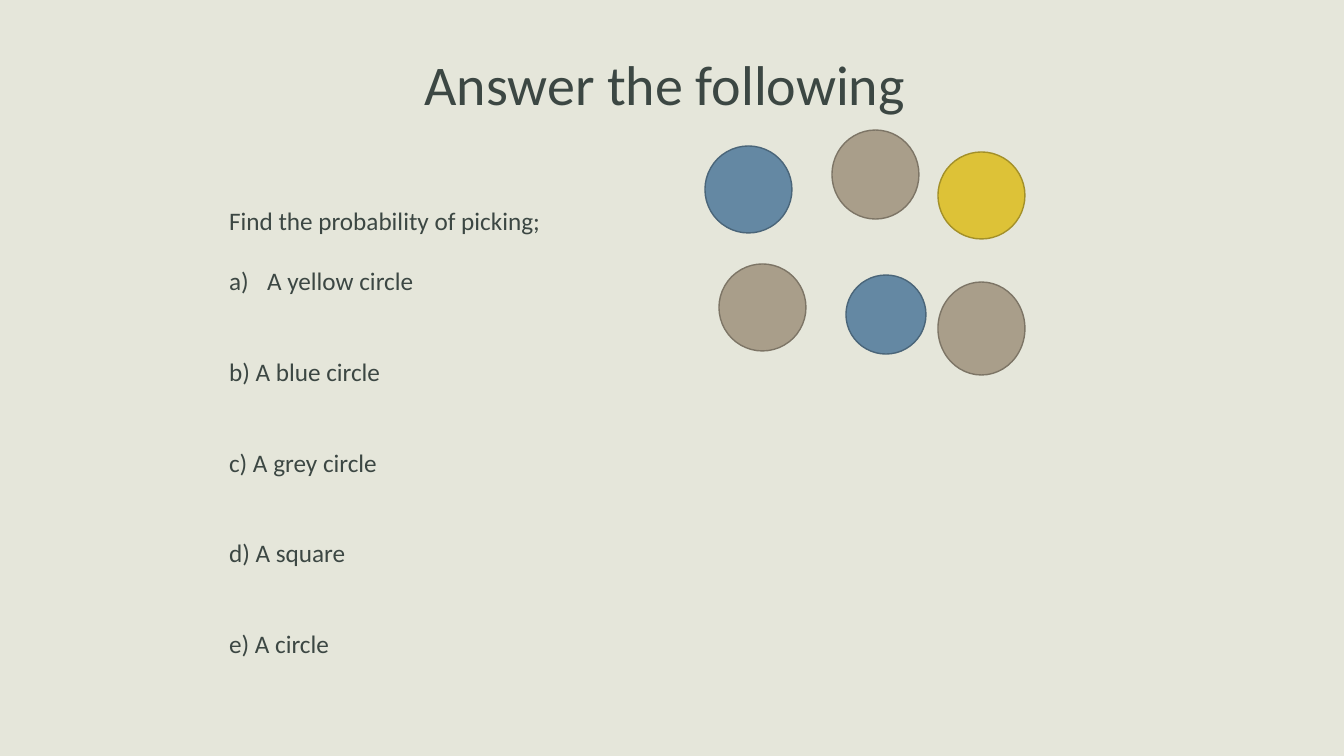
from dataclasses import dataclass
from typing import NamedTuple

from lxml.etree import SubElement
from pptx import Presentation
from pptx.dml.color import RGBColor
from pptx.enum.shapes import MSO_SHAPE
from pptx.enum.text import MSO_ANCHOR, MSO_AUTO_SIZE, PP_ALIGN
from pptx.oxml.ns import qn
from pptx.util import Emu, Pt


class Paint(NamedTuple):
    fill: str
    line: str


class Circle(NamedTuple):
    x: int
    y: int
    w: int
    h: int
    paint: Paint


class Item(NamedTuple):
    text: str
    blank_lines: int  # gap above, in lines
    numbered: bool = False


@dataclass(frozen=True)
class Theme:
    font: str = "Calibri"
    background: str = "E5E6DA"
    ink: str = "3C4743"
    title_size: int = 40
    body_size: int = 18
    line_gap: float = 21.6
    outline: int = 1
    blue: Paint = Paint("6488A3", "4A6579")
    grey: Paint = Paint("A99E8A", "7D7566")
    yellow: Paint = Paint("DDC237", "A39029")


THEME = Theme()
INDENT = 38

CIRCLES = [
    Circle(846, 275, 80, 79, THEME.blue),
    Circle(832, 130, 87, 89, THEME.grey),
    Circle(938, 152, 87, 87, THEME.yellow),
    Circle(938, 282, 87, 93, THEME.grey),
    Circle(719, 264, 87, 87, THEME.grey),
    Circle(705, 146, 87, 87, THEME.blue),
]

ITEMS = [
    Item("Find the probability of picking;", 0),
    Item("A yellow circle", 1, True),
    Item("b) A blue circle", 2),
    Item("c) A grey circle", 2),
    Item("d) A square", 2),
    Item("e) A circle", 2),
]


def px(n: int) -> Emu:
    return Emu(round(n * 914400 / 100.8))


def place(s, x: int, y: int, w: int, h: int) -> None:
    s.left, s.top, s.width, s.height = px(x), px(y), px(w), px(h)


def prepare(tf) -> None:
    tf.word_wrap = True
    tf.auto_size = MSO_AUTO_SIZE.NONE
    tf.vertical_anchor = MSO_ANCHOR.TOP


def format_runs(p, size: int) -> None:
    for r in p.runs:
        r.font.name = THEME.font
        r.font.size = Pt(size)
        r.font.color.rgb = RGBColor.from_string(THEME.ink)


def set_bullet(p, numbered: bool) -> None:
    pPr = p._p.get_or_add_pPr()
    indent = px(INDENT) if numbered else 0
    pPr.set("marL", str(indent))
    pPr.set("indent", str(-indent))
    if numbered:
        SubElement(pPr, qn("a:buFont"), typeface=THEME.font)
        SubElement(pPr, qn("a:buAutoNum"), type="alphaLcParenR")
    else:
        SubElement(pPr, qn("a:buNone"))


def add_item(p, item: Item) -> None:
    p.text = item.text
    set_bullet(p, item.numbered)
    p.alignment = PP_ALIGN.LEFT
    p.space_before = Pt(item.blank_lines * THEME.line_gap)
    format_runs(p, THEME.body_size)


def add_circle(slide, circle: Circle) -> None:
    s = slide.shapes.add_shape(MSO_SHAPE.OVAL, 0, 0, 0, 0)
    place(s, *circle[:4])
    s.shadow.inherit = False
    s.fill.solid()
    s.fill.fore_color.rgb = RGBColor.from_string(circle.paint.fill)
    s.line.color.rgb = RGBColor.from_string(circle.paint.line)
    s.line.width = Pt(THEME.outline)


def main() -> None:
    prs = Presentation()
    prs.slide_width, prs.slide_height = px(1344), px(756)
    slide = prs.slides.add_slide(prs.slide_layouts[1])
    slide.background.fill.solid()
    slide.background.fill.fore_color.rgb = RGBColor.from_string(THEME.background)

    # Title
    title = slide.shapes.title
    place(title, 347, 44, 635, 78)
    prepare(title.text_frame)
    title.text_frame.text = "Answer the following"
    p = title.text_frame.paragraphs[0]
    p.alignment = PP_ALIGN.CENTER
    format_runs(p, THEME.title_size)

    # Questions
    body = slide.placeholders[1]
    place(body, 219, 200, 346, 468)
    tf = body.text_frame
    prepare(tf)
    for i, item in enumerate(ITEMS):
        add_item(tf.add_paragraph() if i else tf.paragraphs[0], item)

    # Circles to pick from
    for circle in CIRCLES:
        add_circle(slide, circle)

    prs.save("out.pptx")


if __name__ == "__main__":
    main()
